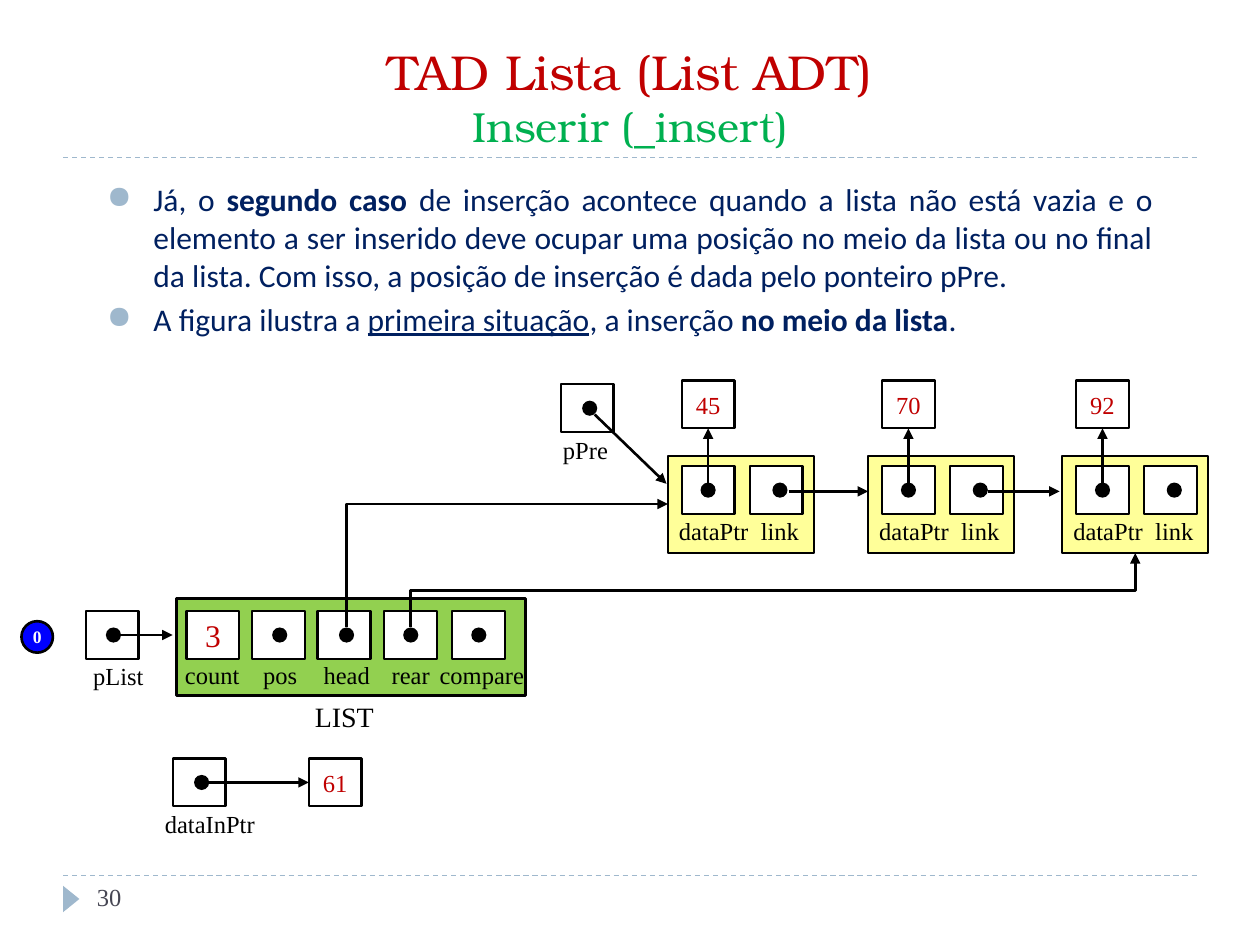
from lxml.etree import SubElement
from pptx import Presentation
from pptx.dml.color import RGBColor
from pptx.enum.dml import MSO_LINE
from pptx.enum.shapes import MSO_CONNECTOR, MSO_SHAPE
from pptx.enum.text import MSO_ANCHOR, MSO_AUTO_SIZE, PP_ALIGN
from pptx.oxml.ns import qn
from pptx.util import Inches, Pt

COLORS = {
    "black": "000000", "white": "FFFFFF", "red": "C00000", "green": "00B050",
    "navy": "002060", "gray": "464653", "accent": "9FB8CD", "blue": "0000FF",
    "list": "92D050", "node": "FFFF99",
}
SERIF = "Times New Roman"
CELL_WIDTH, CELL_HEIGHT, DOT_SIZE = 0.42, 0.38, 0.12
BODY = [
    [("Já, o ", ""), ("segundo caso", "bold"),
     (" de inserção acontece quando a lista não está vazia e o elemento a ser "
      "inserido deve ocupar uma posição no meio da lista ou no final da lista. "
      "Com isso, a posição de inserção é dada pelo ponteiro pPre.", "")],
    [("A figura ilustra a ", ""), ("primeira situação", "underline"),
     (", a inserção ", ""), ("no meio da lista", "bold"), (".", "")],
]


def color(name):
    return RGBColor.from_string(COLORS[name])


def style_font(font, size, color_name, name=SERIF):
    font.size, font.name = Pt(size), name
    font.color.rgb = color(color_name)


def add_figure(slide, kind, left, top, width, height, fill, line_width=0):
    shape = slide.shapes.add_shape(kind, Inches(left), Inches(top), Inches(width), Inches(height))
    shape.shadow.inherit = False
    shape.fill.solid()
    shape.fill.fore_color.rgb = color(fill)
    if line_width:
        shape.line.color.rgb = color("black")
        shape.line.width = Pt(line_width)
    else:
        shape.line.fill.background()
    return shape


def write_centered(shape, text, size, color_name):
    frame = shape.text_frame
    frame.text = text
    frame.word_wrap = False
    frame.vertical_anchor = MSO_ANCHOR.MIDDLE
    paragraph = frame.paragraphs[0]
    paragraph.alignment = PP_ALIGN.CENTER
    style_font(paragraph.runs[0].font, size, color_name)


def add_cell(slide, left, top, value="", size=14):
    cell = add_figure(slide, MSO_SHAPE.RECTANGLE, left, top, CELL_WIDTH, CELL_HEIGHT, "white", 1.25)
    if value:
        write_centered(cell, value, size, "red")
    return cell


def add_pointer_cell(slide, left, top, dot_shift=0.0):
    """Add an empty cell holding a dot, moved right of the centre by dot_shift."""
    add_cell(slide, left, top)
    add_figure(slide, MSO_SHAPE.OVAL, left + (CELL_WIDTH - DOT_SIZE) / 2 + dot_shift,
               top + (CELL_HEIGHT - DOT_SIZE) / 2, DOT_SIZE, DOT_SIZE, "black")


def add_label(slide, text, left, top, width, size=14, color_name="black"):
    box = slide.shapes.add_textbox(Inches(left), Inches(top), Inches(width), Inches(0.34))
    frame = box.text_frame
    frame.text = text
    frame.word_wrap = False
    style_font(frame.paragraphs[0].runs[0].font, size, color_name)


def add_line(slide, start, end, kind=MSO_CONNECTOR.STRAIGHT, color_name="black", width=1.5):
    connector = slide.shapes.add_connector(kind, *map(Inches, start + end))
    connector.line.color.rgb = color(color_name)
    connector.line.width = Pt(width)
    SubElement(connector._element.spPr, qn("a:effectLst"))
    return connector


def add_arrow(slide, start, end, kind=MSO_CONNECTOR.STRAIGHT):
    connector = add_line(slide, start, end, kind)
    SubElement(connector.line._get_or_add_ln(), qn("a:tailEnd"), type="triangle")
    return connector


def add_bent_arrow(slide, start, end, preset):
    """Add an elbow arrow that leaves start upwards and runs right to end."""
    width, height = start[1] - end[1], end[0] - start[0]
    left = (start[0] + end[0] - width) / 2
    top = (start[1] + end[1] - height) / 2
    arrow = add_arrow(slide, (left, top), (left + width, top + height), MSO_CONNECTOR.ELBOW)
    properties = arrow._element.spPr
    properties.find(qn("a:xfrm")).set("rot", str(270 * 60000))
    properties.find(qn("a:prstGeom")).set("prst", preset)


def add_title(slide):
    title = slide.shapes.title
    title.left, title.top, title.width, title.height = map(Inches, (0.5, 0.25, 9, 1))
    frame = title.text_frame
    frame.text = "TAD Lista (List ADT)\vInserir (_insert)"
    frame.auto_size = MSO_AUTO_SIZE.NONE
    frame.vertical_anchor = MSO_ANCHOR.BOTTOM
    paragraph = frame.paragraphs[0]
    paragraph.alignment = PP_ALIGN.CENTER
    for run, size, color_name in zip(paragraph.runs, (28, 24), ("red", "green")):
        style_font(run.font, size, color_name, "TeX Gyre Bonum")


def add_bullet(paragraph):
    properties = paragraph._p.get_or_add_pPr()
    properties.set("marL", str(Inches(0.37)))
    properties.set("indent", str(-Inches(0.37)))
    bullet_color = SubElement(properties, qn("a:buClr"))
    SubElement(bullet_color, qn("a:srgbClr"), val=COLORS["accent"])
    SubElement(properties, qn("a:buChar"), char="●")


def add_body(slide):
    box = slide.shapes.add_textbox(Inches(0.75), Inches(1.38), Inches(8.5), Inches(1.32))
    frame = box.text_frame
    frame.word_wrap = True
    for index, parts in enumerate(BODY):
        paragraph = frame.add_paragraph() if index else frame.paragraphs[0]
        add_bullet(paragraph)
        paragraph.alignment = PP_ALIGN.JUSTIFY
        if index:
            paragraph.space_before = Pt(3.6)
        for text, emphasis in parts:
            run = paragraph.add_run()
            run.text = text
            style_font(run.font, 18, "navy", "Calibri")
            run.font.bold = emphasis == "bold"
            run.font.underline = emphasis == "underline"


def add_frame(slide):
    for y in (1.25, 6.95):
        rule = add_line(slide, (0.5, y), (9.5, y), color_name="accent", width=0.75)
        rule.line.dash_style = MSO_LINE.DASH
    marker = add_figure(slide, MSO_SHAPE.ISOSCELES_TRIANGLE, 0.46, 7.07, 0.21, 0.13, "accent")
    marker.rotation = 90
    add_label(slide, "30", 0.67, 6.95, 2.17, color_name="gray")


def add_list_header(slide):
    add_figure(slide, MSO_SHAPE.RECTANGLE, 1.4, 4.75, 2.77, 0.77, "list", 2)
    add_cell(slide, 1.48, 4.85, "3", 18)
    for left, shift in ((2, 0.01), (2.52, 0.02), (3.05, 0), (3.59, 0)):
        add_pointer_cell(slide, left, 4.85, shift)
    for text, left, width in (("count", 1.37, 0.64), ("pos", 1.99, 0.48), ("head", 2.47, 0.57),
                              ("rear", 3.01, 0.51), ("compare", 3.39, 0.88)):
        add_label(slide, text, left, 5.19, width)
    add_label(slide, "LIST", 2.4, 5.5, 0.68, 16)


def add_node(slide, left, value):
    add_figure(slide, MSO_SHAPE.RECTANGLE, left, 3.62, 1.16, 0.77, "node", 1.25)
    add_pointer_cell(slide, left + 0.11, 3.7)
    add_pointer_cell(slide, left + 0.65, 3.7, 0.03)
    add_label(slide, "dataPtr", left - 0.01, 4.05, 0.76)
    add_label(slide, "link", left + 0.64, 4.05, 0.51)
    value_cell = add_cell(slide, left + 0.11, 3.02, value)
    arrow = add_arrow(slide, (left + 0.32, 3.84), (left + 0.32, 3.4))
    arrow.end_connect(value_cell, 2)


def add_outer_pointers(slide):
    for text, left, top, shift, label_left, label_width in (
            ("pList", 0.68, 4.85, 0.01, 0.64, 0.61),
            ("pPre", 4.45, 3.05, 0.02, 4.37, 0.56),
            ("dataInPtr", 1.37, 6.02, 0.02, 1.21, 0.92)):
        add_pointer_cell(slide, left, top, shift)
        add_label(slide, text, label_left, top + 0.35, label_width)
    new_value = add_cell(slide, 2.45, 6.02, "61")
    add_arrow(slide, (1.66, 6.21), (2.45, 6.21)).end_connect(new_value, 1)
    add_arrow(slide, (0.89, 5.04), (1.37, 5.04))
    add_arrow(slide, (4.72, 3.29), (5.29, 3.84))


def main():
    presentation = Presentation()
    presentation.slide_width, presentation.slide_height = Inches(10), Inches(7.5)
    slide = presentation.slides.add_slide(presentation.slide_layouts[5])
    add_frame(slide)
    add_title(slide)
    add_body(slide)
    step = add_figure(slide, MSO_SHAPE.OVAL, 0.17, 4.93, 0.25, 0.25, "blue", 1.5)
    write_centered(step, "0", 10, "white")
    step.text_frame.paragraphs[0].runs[0].font.bold = True
    add_list_header(slide)
    for left, value in ((5.3, "45"), (6.89, "70"), (8.43, "92")):
        add_node(slide, left, value)
    for start, end in ((6.26, 6.89), (7.84, 8.41)):
        add_arrow(slide, (start, 3.9), (end, 3.9))
    add_outer_pointers(slide)
    add_bent_arrow(slide, (2.75, 4.98), (5.3, 4), "bentConnector2")
    add_bent_arrow(slide, (3.26, 4.98), (9.01, 4.39), "bentConnector3")
    presentation.save("out.pptx")


if __name__ == "__main__":
    main()
